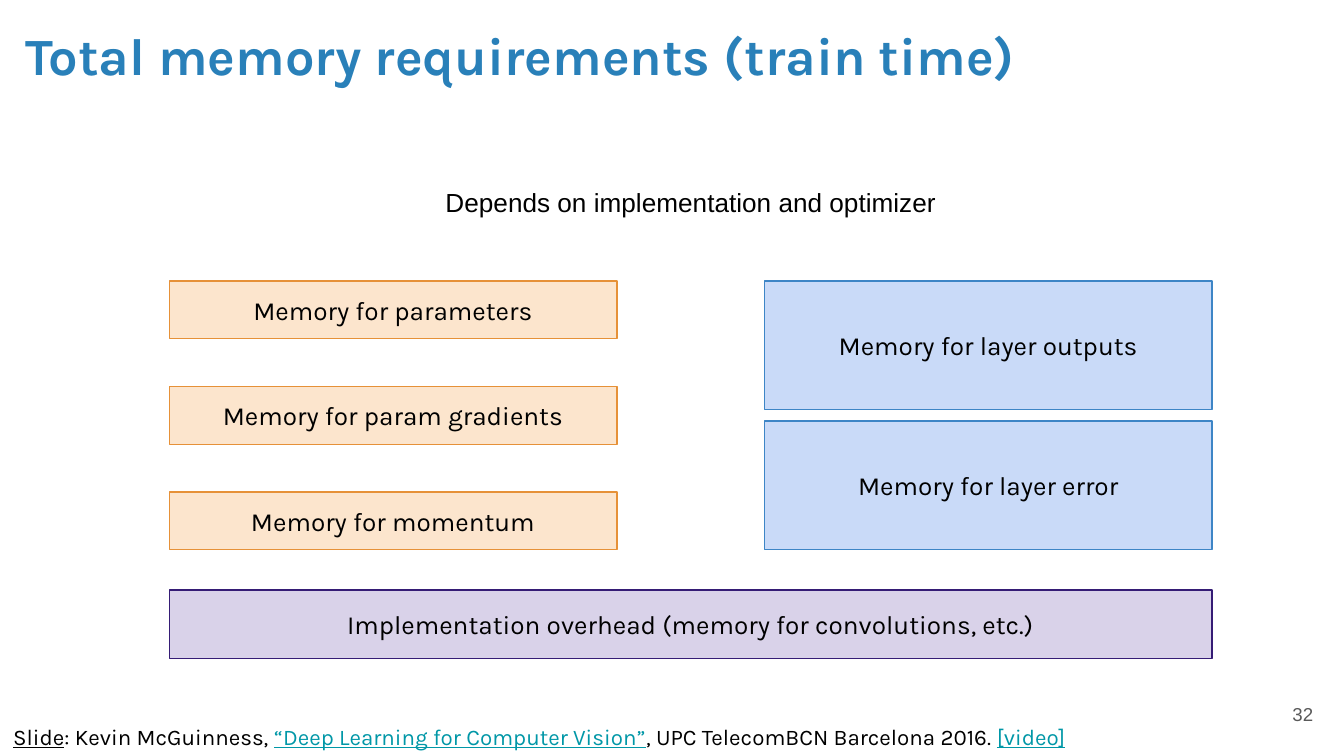
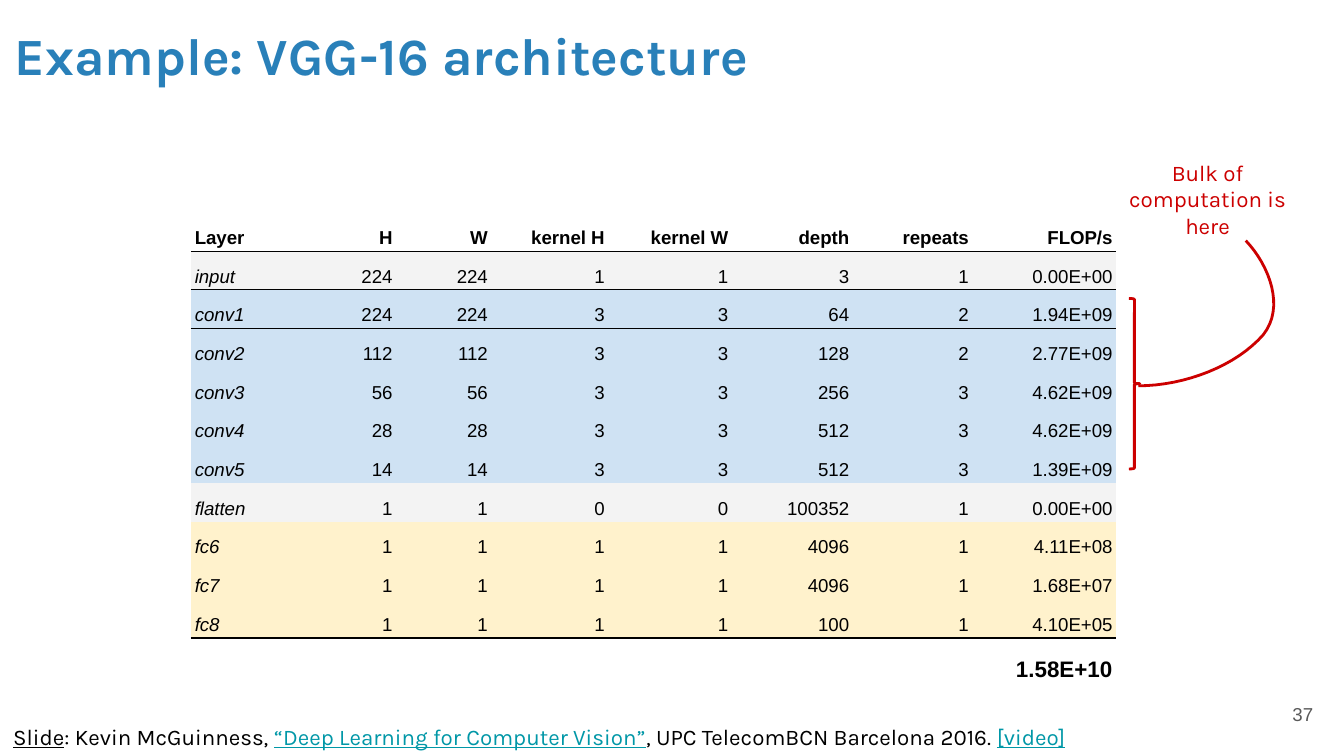
"""Build two slides on the memory and computation needs of a network."""
from dataclasses import dataclass

from pptx import Presentation
from pptx.dml.color import RGBColor
from pptx.enum.shapes import MSO_SHAPE
from pptx.enum.text import MSO_ANCHOR, MSO_AUTO_SIZE, PP_ALIGN
from pptx.oxml import parse_xml
from pptx.oxml.ns import nsdecls, qn
from pptx.util import Pt

RECT, BRACE = MSO_SHAPE.RECTANGLE, MSO_SHAPE.RIGHT_BRACE
LEFT, MID, RIGHT = PP_ALIGN.LEFT, PP_ALIGN.CENTER, PP_ALIGN.RIGHT
TOP, CENTRE, BASE = MSO_ANCHOR.TOP, MSO_ANCHOR.MIDDLE, MSO_ANCHOR.BOTTOM
FIXED = MSO_AUTO_SIZE.NONE
PLAIN = "{2D5ABB26-0587-4C30-8999-92F81FD0307C}"


@dataclass(frozen=True)
class Theme:
    """Fonts, type sizes, line widths and colours of the deck."""
    head: str = "Karla"
    body: str = "Arial"
    title: int = 28
    label: int = 14
    note: int = 12
    small: int = 10
    thin: float = 0.75
    bold: float = 1.5
    blue: str = "2980B9"
    black: str = "000000"
    grey: str = "595959"
    link: str = "0097A7"
    red: str = "CC0000"
    orange: tuple = ("FCE5CD", "E69138")
    sky: tuple = ("C9DAF8", "3D85C6")
    violet: tuple = ("D9D2E9", "351C75")
    pale: str = "F3F3F3"
    conv: str = "CFE2F3"
    dense: str = "FFF2CC"


T = Theme()
CREDIT = (
    ("Slide", T.black, True),
    (": Kevin McGuinness, ", T.black, False),
    ("“Deep Learning for Computer Vision”", T.link, True),
    (", UPC TelecomBCN Barcelona 2016. ", T.black, False),
    ("[video]", T.link, True),
)
HEADS = ("Layer", "H", "W", "kernel H", "kernel W", "depth", "repeats", "FLOP/s")
LAYERS = (
    ("input", 224, 224, 1, 1, 3, 1, "0.00E+00"),
    ("conv1", 224, 224, 3, 3, 64, 2, "1.94E+09"),
    ("conv2", 112, 112, 3, 3, 128, 2, "2.77E+09"),
    ("conv3", 56, 56, 3, 3, 256, 3, "4.62E+09"),
    ("conv4", 28, 28, 3, 3, 512, 3, "4.62E+09"),
    ("conv5", 14, 14, 3, 3, 512, 3, "1.39E+09"),
    ("flatten", 1, 1, 0, 0, 100352, 1, "0.00E+00"),
    ("fc6", 1, 1, 1, 1, 4096, 1, "4.11E+08"),
    ("fc7", 1, 1, 1, 1, 4096, 1, "1.68E+07"),
    ("fc8", 1, 1, 1, 1, 100, 1, "4.10E+05"),
)
TOTAL = ("",) * 7 + ("1.58E+10",)
WIDTHS = (64.8, 45.4, 51.1, 62.6, 66.2, 64.8, 64.1, 77)
RULES = (1, 2, 11)


def rgb(code):
    """Turn a hex code into a colour."""
    return RGBColor.from_string(code)


def place(box):
    """Turn a box in points into lengths."""
    return [Pt(v) for v in box]


def style(par, size, name=T.head, color=T.black, align=LEFT, bold=False):
    """Format one paragraph."""
    par.alignment = align
    font = par.font
    font.size, font.name, font.bold = Pt(size), name, bold
    font.color.rgb = rgb(color)


def inset(frame, anchor=TOP):
    """Give a text frame its margins, wrapping and anchor."""
    frame.word_wrap = True
    frame.auto_size = FIXED
    frame.vertical_anchor = anchor
    frame.margin_left = frame.margin_right = Pt(7.2)
    frame.margin_top = frame.margin_bottom = Pt(7.2)


def write(shapes, box, text, size, anchor=TOP, **look):
    """Add a text box and return its paragraph."""
    frame = shapes.add_textbox(*place(box)).text_frame
    inset(frame, anchor)
    par = frame.paragraphs[0]
    par.text = text
    style(par, size, **look)
    return par


def block(slide, box, text, tint):
    """Add a labelled rectangle."""
    shape = slide.shapes.add_shape(RECT, *place(box))
    shape.shadow.inherit = False
    shape.fill.solid()
    shape.fill.fore_color.rgb = rgb(tint[0])
    shape.line.color.rgb = rgb(tint[1])
    shape.line.width = Pt(T.thin)
    inset(shape.text_frame, CENTRE)
    par = shape.text_frame.paragraphs[0]
    par.text = text
    style(par, T.label, align=MID)


def stack(slide, box, texts, high, tint):
    """Spread rectangles of one height evenly down a box."""
    left, top, wide, tall = box
    step = (tall - high) / (len(texts) - 1)
    for i, text in enumerate(texts):
        block(slide, (left, top + i * step, wide, high), text, tint)


def base(deck, title, number, left):
    """Add a slide with its title, page number and credit."""
    slide = deck.slides.add_slide(deck.slide_layouts[5])
    head = slide.shapes.title
    head.left, head.top, head.width, head.height = place((left, 5, 671, 45.4))
    inset(head.text_frame)
    par = head.text_frame.paragraphs[0]
    par.text = title
    style(par, T.title, color=T.blue, bold=True)
    write(slide.shapes, (667.4, 367.2, 43.2, 31), number, T.small, CENTRE,
          name=T.body, color=T.grey, align=RIGHT)
    par = write(slide.shapes, (0, 380.2, 640, 20.9), "", T.note)
    for text, color, under in CREDIT:
        run = par.add_run()
        run.text = text
        run.font.color.rgb = rgb(color)
        run.font.underline = under
    return slide


def memory(slide, box):
    """Lay out the memory blocks in two columns over a base bar."""
    left, top, wide, tall = box
    col, upper, bar = 239.8, 144, 36.7
    write(slide.shapes, (left + 110.9, top - 57.6, 337, 31),
          "Depends on implementation and optimizer", T.label,
          name=T.body, align=MID)
    stack(slide, (left, top, col, upper),
          ("Memory for parameters", "Memory for param gradients",
           "Memory for momentum"), 31, T.orange)
    stack(slide, (left + wide - col, top, col, upper),
          ("Memory for layer outputs", "Memory for layer error"), 69, T.sky)
    block(slide, (left, top + tall - bar, wide, bar),
          "Implementation overhead (memory for convolutions, etc.)", T.violet)


def rule(cell, side):
    """Draw a thin black border on one side of a cell."""
    cell._tc.get_or_add_tcPr().append(parse_xml(
        f'<a:{side} {nsdecls("a")} w="{Pt(T.thin)}"><a:solidFill>'
        f'<a:srgbClr val="{T.black}"/></a:solidFill></a:{side}>'))


def tint(name):
    """Choose the row colour for a layer name."""
    if name.startswith("conv"):
        return T.conv
    return T.dense if name.startswith("fc") else T.pale


def layers(slide, box):
    """Add the table of layers with its total."""
    rows = (HEADS, *LAYERS, TOTAL)
    last = len(rows) - 1
    frame = slide.shapes.add_table(len(rows), len(HEADS), *place(box))
    next(frame._element.iter(qn("a:tableStyleId"))).text = PLAIN
    table = frame.table
    table.first_row = table.horz_banding = False
    for col, wide in zip(table.columns, WIDTHS):
        col.width = Pt(wide)
    high = (box[3] - 25.2) / last
    for r, row in enumerate(rows):
        table.rows[r].height = Pt(25.2 if r == last else high)
        for c, value in enumerate(row):
            cell = table.cell(r, c)
            cell.margin_left = cell.margin_right = Pt(2.16)
            cell.margin_top = cell.margin_bottom = Pt(1.44)
            cell.vertical_anchor = BASE
            if r in RULES:
                rule(cell, "lnT")
            if r + 1 in RULES:
                rule(cell, "lnB")
            if 0 < r < last:
                cell.fill.solid()
                cell.fill.fore_color.rgb = rgb(tint(row[0]))
            else:
                cell.fill.background()
            par = cell.text_frame.paragraphs[0]
            par.text = str(value)
            par.line_spacing = 1.15
            style(par, T.note if r == last else T.small, T.body,
                  align=RIGHT if c else LEFT, bold=r in (0, last))
            par.font.italic = c == 0 and 0 < r < last


def bend(ends, steps=16):
    """Return points along a cubic curve after its start."""
    out = []
    for i in range(1, steps + 1):
        t = i / steps
        part = ((1 - t) ** 3, 3 * t * (1 - t) ** 2, 3 * t * t * (1 - t), t ** 3)
        out.append(tuple(sum(k * p[a] for k, p in zip(part, ends)) for a in (0, 1)))
    return out


def stroke(shape):
    """Leave a shape unfilled with a red outline."""
    shape.shadow.inherit = False
    shape.fill.background()
    shape.line.color.rgb = rgb(T.red)
    shape.line.width = Pt(T.bold)


def callout(slide, box):
    """Add the red note, its curve and the brace as one group."""
    left, top, wide, tall = box
    shapes = slide.shapes.add_group_shape().shapes
    write(shapes, (left, top, wide, 31), "Bulk of computation is here",
          T.note, color=T.red, align=MID)
    knots = [(left + x, top + y) for x, y in (
        (72.7, 51.1), (85.7, 64.8), (93.6, 87.1), (82.1, 101.5),
        (67.7, 118.1), (40.3, 128.9), (15.1, 128.9))]
    path = bend(knots[:4]) + bend(knots[3:])
    pen = shapes.build_freeform(*place(knots[0]))
    pen.add_line_segments([place(p) for p in path], close=False)
    stroke(pen.convert_to_shape())
    stroke(shapes.add_shape(BRACE, *place((left + 10.1, top + tall - 91.4, 5.8, 91.4))))


def main():
    """Build and save the deck."""
    deck = Presentation()
    deck.slide_width, deck.slide_height = Pt(720), Pt(405)
    first = base(deck, "Total memory requirements (train time)", "32", 6.5)
    memory(first, (90.7, 150.5, 558.7, 202.3))
    second = base(deck, "Example: VGG-16 architecture", "37", 0.7)
    layers(second, (102.2, 113.8, sum(WIDTHS), 253.2))
    callout(second, (594.7, 77.8, 104.4, 173.5))
    deck.save("out.pptx")


if __name__ == "__main__":
    main()
